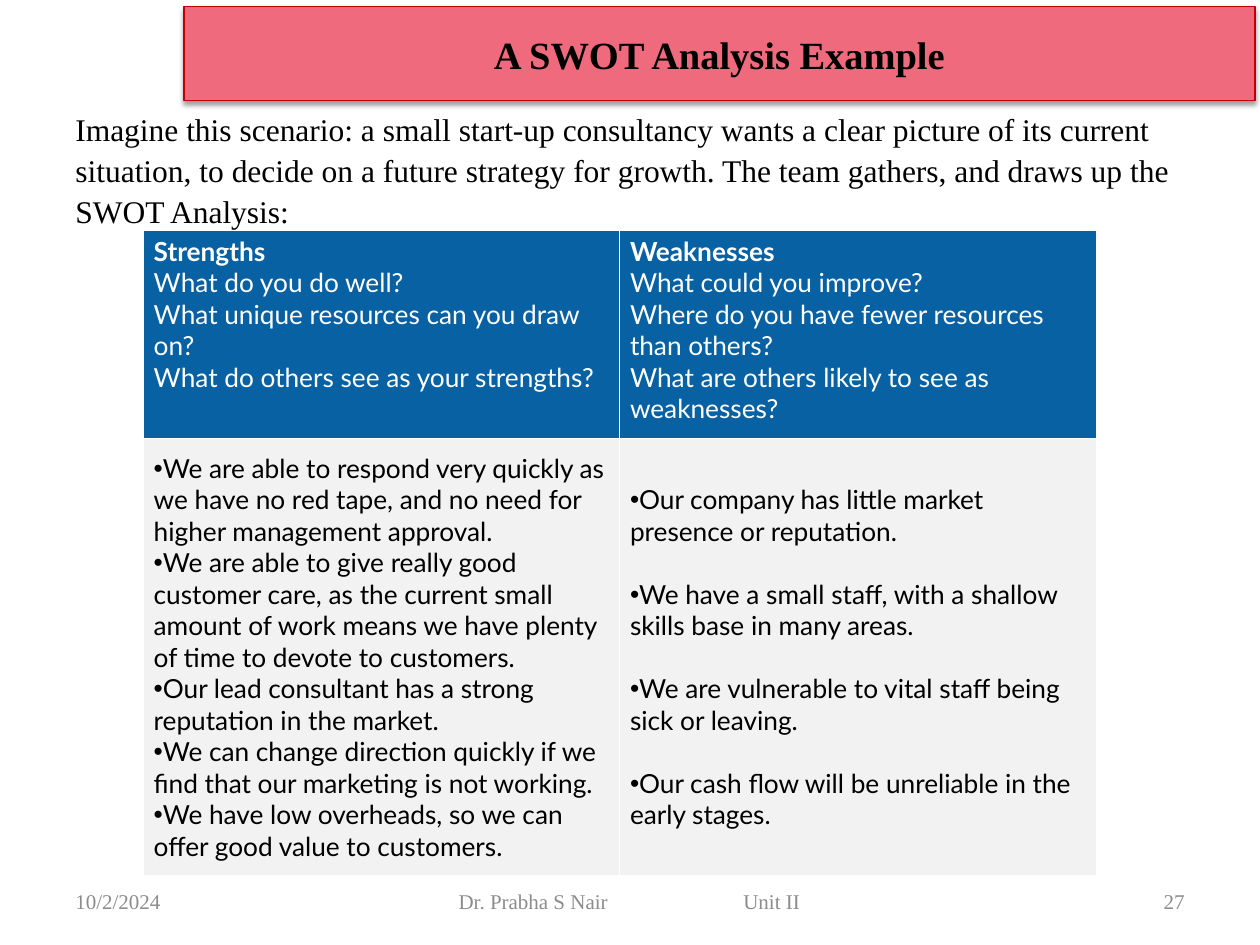
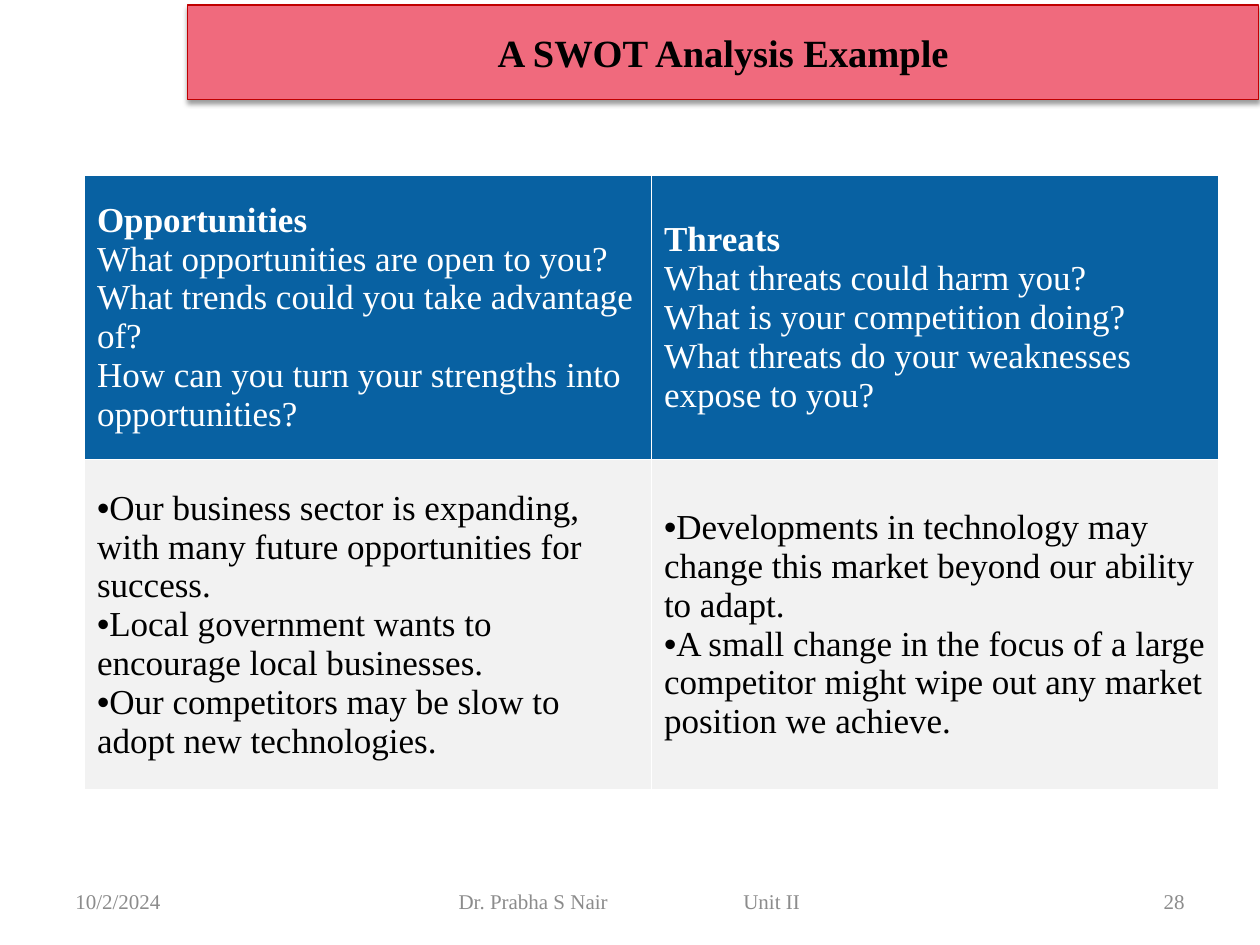
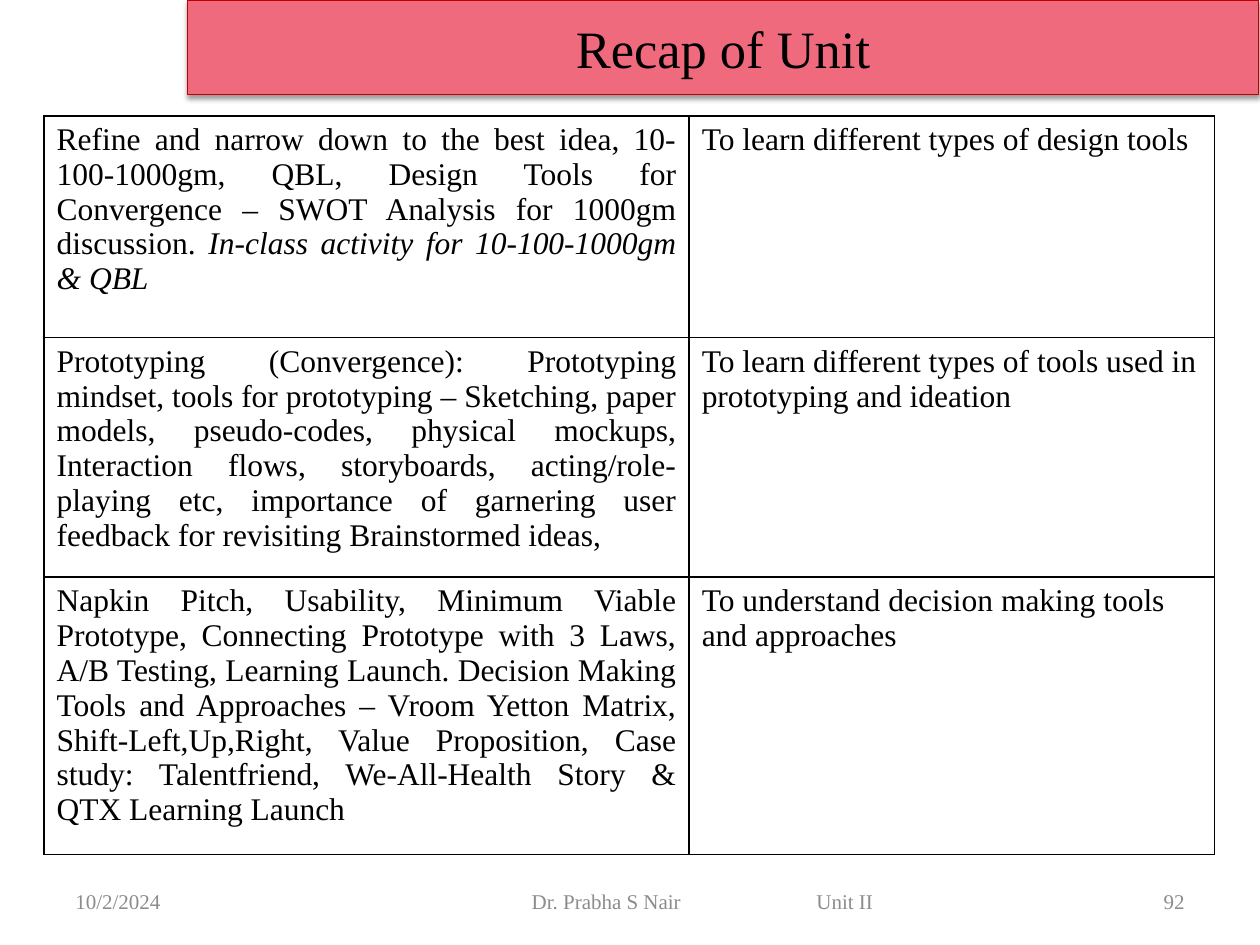
from copy import deepcopy
from dataclasses import dataclass

from lxml.etree import SubElement
from pptx import Presentation
from pptx.dml.color import RGBColor
from pptx.enum.text import MSO_ANCHOR, MSO_AUTO_SIZE, PP_ALIGN
from pptx.oxml.ns import qn
from pptx.util import Emu, Inches, Pt

TOP, MIDDLE = MSO_ANCHOR.TOP, MSO_ANCHOR.MIDDLE
LEFT, CENTER, RIGHT, JUSTIFY = PP_ALIGN.LEFT, PP_ALIGN.CENTER, PP_ALIGN.RIGHT, PP_ALIGN.JUSTIFY
NO_AUTOFIT = MSO_AUTO_SIZE.NONE
TITLE_ONLY = 5
SLIDE_W, SLIDE_H = Inches(10), Inches(7.5)


@dataclass(frozen=True)
class Theme:
    serif: str = "Times New Roman"
    sans: str = "Lato"
    ink: str = "000000"
    paper: str = "FFFFFF"
    footer_grey: str = "8C8C8C"
    band: str = "F06A7D"
    band_edge: str = "C00000"
    question_blue: str = "0861A2"
    answer_grey: str = "F2F2F2"
    title_size: float = 22
    recap_title_size: float = 30
    body_size: float = 18
    footer_size: float = 12


THEME = Theme()


@dataclass(frozen=True)
class Box:
    """Position and size as percentages of the slide."""
    left: float
    top: float
    width: float
    height: float

    def emu(self) -> tuple[Emu, Emu, Emu, Emu]:
        return across(self.left), down(self.top), across(self.width), down(self.height)


@dataclass(frozen=True)
class Font:
    size: float
    color: str
    name: str = THEME.serif
    bold: bool = False
    italic: bool = False


@dataclass(frozen=True)
class Cell:
    paragraphs: tuple[str, ...]
    headed: bool = False      # the first line is a bold heading
    bulleted: bool = False
    gap: float = 0            # points between paragraphs
    aside: str = ""           # closing words in italics
    align: PP_ALIGN = LEFT


@dataclass(frozen=True)
class RowStyle:
    font: Font
    fill: str | None = None
    anchor: MSO_ANCHOR = TOP


@dataclass(frozen=True)
class Grid:
    left: float
    top: float
    columns: tuple[float, ...]
    rows: tuple[float, ...]
    styles: tuple[RowStyle, ...]
    border: str
    border_width: float
    inset: tuple[float, float] = (0.1, 0.05)


@dataclass(frozen=True)
class Page:
    title: str
    title_font: Font
    band_left: float
    band_top: float
    number: str
    footer: Box
    grid: Grid
    cells: tuple[tuple[Cell, ...], ...]
    intro: str = ""


def across(share: float) -> Emu:
    return Emu(round(SLIDE_W * share / 100))


def down(share: float) -> Emu:
    return Emu(round(SLIDE_H * share / 100))


def format_run(run, font: Font) -> None:
    run.font.name, run.font.size = font.name, Pt(font.size)
    run.font.bold, run.font.italic = font.bold, font.italic
    run.font.color.rgb = RGBColor.from_string(font.color)


def format_paragraph(paragraph, font: Font, align: PP_ALIGN = LEFT) -> None:
    paragraph.alignment = align
    for run in paragraph.runs:
        format_run(run, font)


def add_color(parent, color: str):
    return SubElement(SubElement(parent, qn("a:solidFill")), qn("a:srgbClr"), val=color)


# Title band
def draw_title(slide, page: Page) -> None:
    title = slide.shapes.title
    title.left, title.top, title.width, title.height = Box(page.band_left, page.band_top, 85, 10).emu()
    title.fill.solid()
    title.fill.fore_color.rgb = RGBColor.from_string(THEME.band)
    title.line.color.rgb = RGBColor.from_string(THEME.band_edge)
    title.line.width = Pt(0.75)
    effects = SubElement(title.element.spPr, qn("a:effectLst"))
    shadow = SubElement(effects, qn("a:outerShdw"), blurRad=str(Pt(3.1)), dist=str(Pt(1.6)),
                        dir="5400000", rotWithShape="0")
    shade = SubElement(shadow, qn("a:srgbClr"), val=THEME.ink)
    SubElement(shade, qn("a:alpha"), val="38000")
    frame = title.text_frame
    frame.text = page.title
    frame.auto_size, frame.vertical_anchor = NO_AUTOFIT, MIDDLE
    format_paragraph(frame.paragraphs[0], page.title_font, CENTER)


# Free text and footer
def draw_text(slide, box: Box, text: str, font: Font, align: PP_ALIGN = LEFT, anchor: MSO_ANCHOR = TOP):
    frame = slide.shapes.add_textbox(*box.emu()).text_frame
    frame.text = text
    frame.word_wrap, frame.vertical_anchor = True, anchor
    format_paragraph(frame.paragraphs[0], font, align)
    return frame


def draw_footer(slide, page: Page) -> None:
    font = Font(THEME.footer_size, THEME.footer_grey)
    draw_text(slide, Box(5, 92.67, 23.3, 5.33), "10/2/2024", font, anchor=MIDDLE)
    draw_text(slide, Box(71.7, 92.67, 23.3, 5.33), page.number, font, RIGHT, MIDDLE)
    # Author and unit share one line, centred as a pair
    pair = draw_text(slide, page.footer, "Dr. Prabha S Nair\tUnit II", font, anchor=MIDDLE)
    pair.margin_left = across((page.footer.width - 27.3) / 2)
    tabs = SubElement(pair.paragraphs[0]._p.get_or_add_pPr(), qn("a:tabLst"))
    SubElement(tabs, qn("a:tab"), pos=str(across(22.6)), algn="l")


# Tables
def add_bullet(paragraph) -> None:
    properties = paragraph._p.get_or_add_pPr()
    properties.set("marL", "0")
    properties.set("indent", "0")
    SubElement(properties, qn("a:buFont"), typeface="Arial")
    SubElement(properties, qn("a:buChar"), char="•")


def draw_borders(table_cell, grid: Grid) -> None:
    properties = table_cell._tc.get_or_add_tcPr()
    for side in ("a:lnL", "a:lnR", "a:lnT", "a:lnB"):
        add_color(SubElement(properties, qn(side), w=str(Pt(grid.border_width))), grid.border)


def fill_cell(table_cell, cell: Cell, style: RowStyle, grid: Grid) -> None:
    draw_borders(table_cell, grid)
    if style.fill:
        table_cell.fill.solid()
        table_cell.fill.fore_color.rgb = RGBColor.from_string(style.fill)
    else:
        table_cell.fill.background()
    table_cell.vertical_anchor = style.anchor
    table_cell.margin_left = table_cell.margin_right = Inches(grid.inset[0])
    table_cell.margin_top = table_cell.margin_bottom = Inches(grid.inset[1])
    frame = table_cell.text_frame
    for index, text in enumerate(cell.paragraphs):
        paragraph = frame.add_paragraph() if index else frame.paragraphs[0]
        paragraph.text = text
        format_paragraph(paragraph, style.font, cell.align)
        # Line breaks take the size of the text around them
        for line_break in paragraph._p.findall(qn("a:br")):
            line_break.insert(0, deepcopy(paragraph.runs[0].font._element))
        if cell.headed:
            paragraph.runs[0].font.bold = True
        if cell.aside:
            aside = paragraph.add_run()
            aside.text = cell.aside
            format_run(aside, style.font)
            aside.font.italic = True
        if index and cell.gap:
            paragraph.space_before = Pt(cell.gap)
        if cell.bulleted:
            add_bullet(paragraph)


def draw_table(slide, page: Page) -> None:
    grid = page.grid
    box = Box(grid.left, grid.top, sum(grid.columns), sum(grid.rows))
    table = slide.shapes.add_table(len(grid.rows), len(grid.columns), *box.emu()).table
    table.first_row = table.horz_banding = False
    for column, width in zip(table.columns, grid.columns):
        column.width = across(width)
    for row, height, style, cells in zip(table.rows, grid.rows, grid.styles, page.cells):
        row.height = down(height)
        for table_cell, cell in zip(row.cells, cells):
            fill_cell(table_cell, cell, style, grid)


def swot_styles(name: str, size: float, question_anchor: MSO_ANCHOR) -> tuple[RowStyle, ...]:
    return (RowStyle(Font(size, THEME.paper, name), THEME.question_blue, question_anchor),
            RowStyle(Font(size, THEME.ink, name), THEME.answer_grey, MIDDLE))


def questions(*lines: str) -> Cell:
    return Cell(("\v".join(lines),), headed=True)


def answers(*lines: str, gap: float = 0) -> Cell:
    return Cell(lines, bulleted=True, gap=gap)


def recap(topic: str, goal: str, aside: str = "") -> tuple[Cell, Cell]:
    return Cell((topic,), aside=aside, align=JUSTIFY), Cell((goal,))


# Content
SWOT_TITLE = "A SWOT Analysis Example"
SWOT_FONT = Font(THEME.title_size, THEME.ink, bold=True)
BODY_FONT = Font(THEME.body_size, THEME.ink)
SWOT_FOOTER = Box(34.2, 92.67, 31.7, 5.33)

PAGES = (
    Page(
        SWOT_TITLE, SWOT_FONT, 14.6, 0.67, "27", SWOT_FOOTER,
        Grid(11.4, 24.4, (37.8, 37.8), (22, 46.27), swot_styles(THEME.sans, 15, TOP),
             THEME.paper, 0.6, (0.08, 0.04)),
        (
            (questions("Strengths", "What do you do well?",
                       "What unique resources can you draw on?",
                       "What do others see as your strengths?"),
             questions("Weaknesses", "What could you improve?",
                       "Where do you have fewer resources than others?",
                       "What are others likely to see as weaknesses?")),
            (answers("We are able to respond very quickly as we have no red tape, and no need for "
                     "higher management approval.",
                     "We are able to give really good customer care, as the current small amount "
                     "of work means we have plenty of time to devote to customers.",
                     "Our lead consultant has a strong reputation in the market.",
                     "We can change direction quickly if we find that our marketing is not working.",
                     "We have low overheads, so we can offer good value to customers."),
             answers("Our company has little market presence or reputation.",
                     "We have a small staff, with a shallow skills base in many areas.",
                     "We are vulnerable to vital staff being sick or leaving.",
                     "Our cash flow will be unreliable in the early stages.", gap=18)),
        ),
        intro="Imagine this scenario: a small start-up consultancy wants a clear picture of its "
              "current situation, to decide on a future strategy for growth. The team gathers, "
              "and draws up the SWOT Analysis:",
    ),
    Page(
        SWOT_TITLE, SWOT_FONT, 14.9, 0.53, "28", SWOT_FOOTER,
        Grid(6.7, 18.53, (45, 45), (30.13, 34.93), swot_styles(THEME.serif, 20, MIDDLE),
             THEME.paper, 0.6),
        (
            (questions("Opportunities", "What opportunities are open to you?",
                       "What trends could you take advantage of?",
                       "How can you turn your strengths into opportunities?"),
             questions("Threats", "What threats could harm you?",
                       "What is your competition doing?",
                       "What threats do your weaknesses expose to you?")),
            (answers("Our business sector is expanding, with many future opportunities for success.",
                     "Local government wants to encourage local businesses.",
                     "Our competitors may be slow to adopt new technologies."),
             answers("Developments in technology may change this market beyond our ability to adapt.",
                     "A small change in the focus of a large competitor might wipe out any market "
                     "position we achieve.")),
        ),
    ),
    Page(
        "Recap of Unit", Font(THEME.recap_title_size, THEME.ink), 14.9, 0, "92",
        Box(27.5, 92.67, 56.7, 5.33),
        Grid(3.5, 12.27, (51.2, 41.7), (23.47, 23.47, 27.07), (RowStyle(BODY_FONT),) * 3,
             THEME.ink, 1),
        (
            recap("Refine and narrow down to the best idea, 10-100-1000gm, QBL, Design Tools for "
                  "Convergence – SWOT Analysis for 1000gm discussion. ",
                  "To learn different types of design tools",
                  aside="In-class activity for 10-100-1000gm & QBL"),
            recap("Prototyping (Convergence): Prototyping mindset, tools for prototyping – "
                  "Sketching, paper models, pseudo-codes, physical mockups, Interaction flows, "
                  "storyboards, acting/role-playing etc, importance of garnering user feedback "
                  "for revisiting Brainstormed ideas,",
                  "To learn different types of tools used in prototyping and ideation"),
            recap("Napkin Pitch, Usability, Minimum Viable Prototype, Connecting Prototype with "
                  "3 Laws, A/B Testing, Learning Launch. Decision Making Tools and Approaches – "
                  "Vroom Yetton Matrix, Shift-Left,Up,Right, Value Proposition, Case study: "
                  "Talentfriend, We-All-Health Story & QTX Learning Launch",
                  "To understand decision making tools and approaches"),
        ),
    ),
)


def main() -> None:
    deck = Presentation()
    deck.slide_width, deck.slide_height = SLIDE_W, SLIDE_H
    for page in PAGES:
        slide = deck.slides.add_slide(deck.slide_layouts[TITLE_ONLY])
        draw_title(slide, page)
        draw_footer(slide, page)
        if page.intro:
            intro = draw_text(slide, Box(5, 10.67, 90, 84.67), page.intro, BODY_FONT)
            intro.paragraphs[0].line_spacing = 1.08
        draw_table(slide, page)
    deck.save("out.pptx")


if __name__ == "__main__":
    main()
